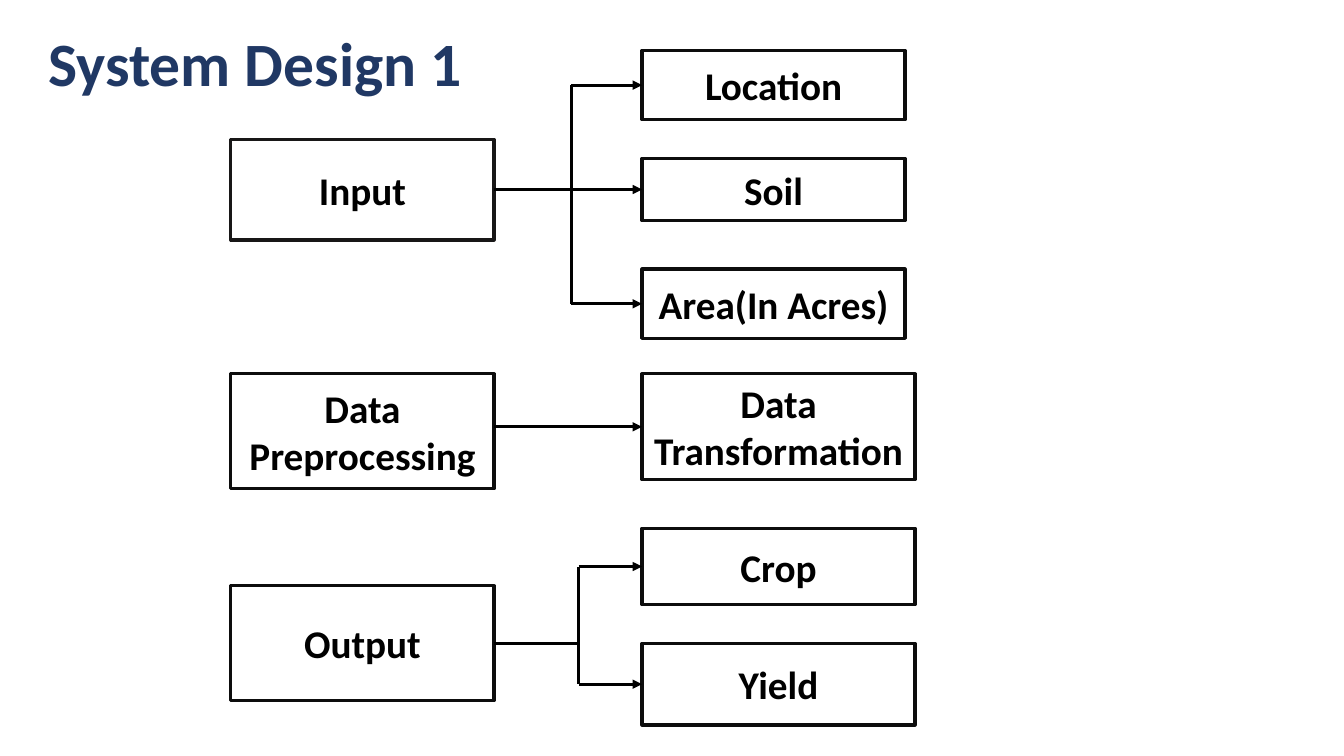
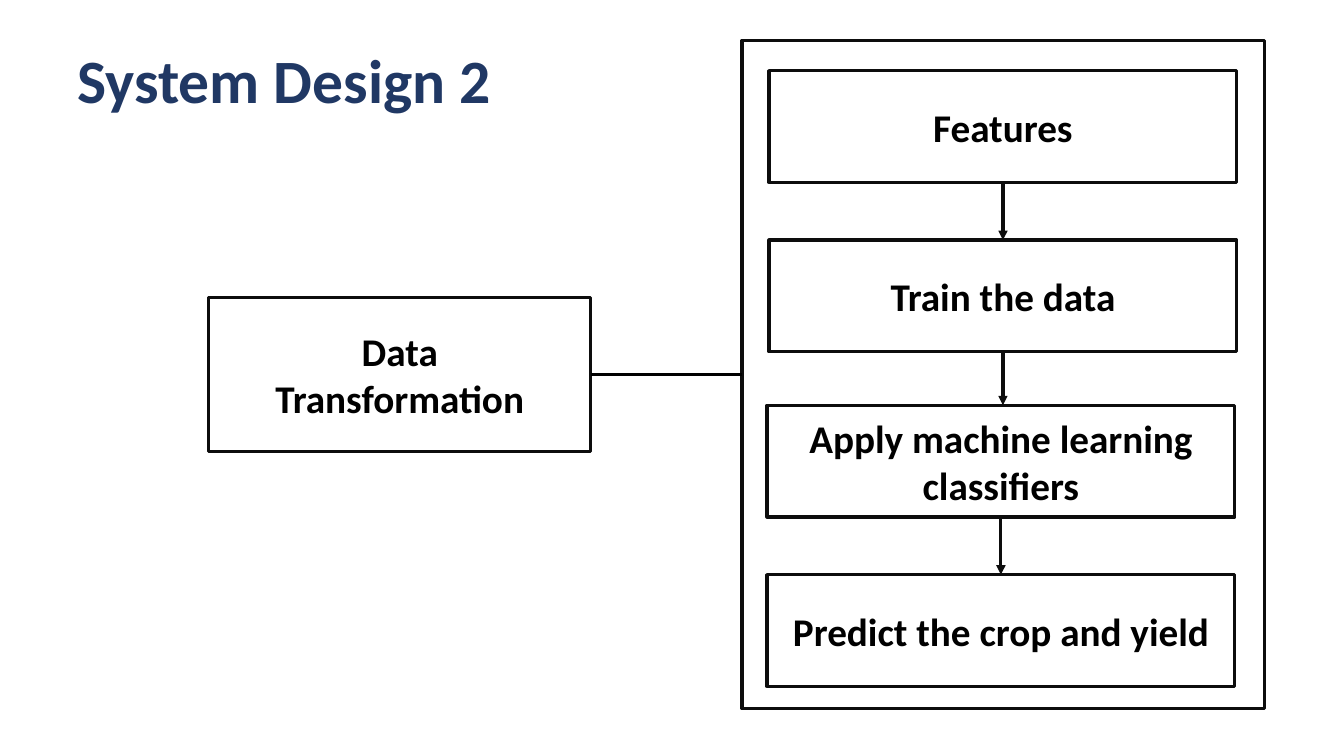
from dataclasses import dataclass
from itertools import pairwise

from lxml.etree import SubElement as Sub
from pptx import Presentation
from pptx.dml.color import RGBColor as Rgb
from pptx.enum.shapes import MSO_CONNECTOR as Conn, MSO_SHAPE as Form
from pptx.enum.text import MSO_ANCHOR as Anchor, PP_ALIGN as Align
from pptx.oxml.ns import qn
from pptx.util import Cm, Pt


@dataclass(frozen=True)
class Theme:
    font: str = "Calibri"
    title: Rgb = Rgb(0x20, 0x38, 0x64)
    ink: Rgb = Rgb(0, 0, 0)
    edge: Rgb = Rgb(0x0D, 0x0D, 0x0D)
    soft: Rgb = Rgb(0x18, 0x17, 0x17)
    paper: Rgb = Rgb(0xFF, 0xFF, 0xFF)
    head: Pt = Pt(44)
    body: Pt = Pt(28)
    rule: Pt = Pt(2.25)


THEME = Theme()


def write(shape, text, size=THEME.body, color=THEME.ink, align=Align.CENTER, space=1.0):
    """Fill a shape with bold text, one paragraph for each line of it."""
    frame = shape.text_frame
    frame.word_wrap = True
    frame.vertical_anchor = Anchor.MIDDLE
    frame.text = text
    for para in frame.paragraphs:
        para.alignment = align
        para.line_spacing = space
        for run in para.runs:
            font = run.font
            font.name, font.size, font.bold = THEME.font, size, True
            font.color.rgb = color


def title(slide, text, x, y, w, h):
    box = slide.shapes.add_textbox(Cm(x), Cm(y), Cm(w), Cm(h))
    write(box, text, size=THEME.head, color=THEME.title, align=Align.LEFT, space=0.9)


def block(slide, text, x, y, w, h, edge=THEME.edge):
    box = slide.shapes.add_shape(Form.RECTANGLE, Cm(x), Cm(y), Cm(w), Cm(h))
    box.shadow.inherit = False
    box.fill.solid()
    box.fill.fore_color.rgb = THEME.paper
    box.line.color.rgb = edge
    box.line.width = THEME.rule
    if text:
        write(box, text)
    return box


def wire(slide, start, end, color=THEME.ink, arrow=False):
    line = slide.shapes.add_connector(Conn.STRAIGHT, *start, *end)
    line.line.color.rgb = color
    line.line.width = THEME.rule
    props = line.element.spPr
    if arrow:
        Sub(props.find(qn("a:ln")), qn("a:tailEnd"), type="triangle")
    Sub(props, qn("a:effectLst"))


def right(box):
    return box.left + box.width


def mid(box):
    return box.top + box.height // 2


def link(slide, left, box, arrow=True):
    """Run a level line from one block to the middle of the next."""
    wire(slide, (right(left), mid(box)), (box.left, mid(box)), arrow=arrow)


def fork(slide, x, first, last):
    """Draw an upright trunk at x with an arrow to each of two blocks."""
    wire(slide, (x, mid(first)), (x, mid(last)))
    for box in (first, last):
        wire(slide, (x, mid(box)), (box.left, mid(box)), arrow=True)


def design_one(slide):
    stage_x, item_x, slim, wide = 5.82, 16.18, 6.63, 6.88
    source = block(slide, "Input", stage_x, 3.51, slim, 2.54, edge=THEME.soft)
    prep = block(slide, "Data Preprocessing", stage_x, 9.42, slim, 2.9)
    output = block(slide, "Output", stage_x, 14.76, slim, 2.9)

    items = (
        ("Location", 1.27, slim, 1.75),
        ("Soil", 3.99, slim, 1.57),
        ("Area(In Acres)", 6.78, slim, 1.75),
        ("Data\nTransformation", 9.42, wide, 2.67),
        ("Crop", 13.31, wide, 1.93),
        ("Yield", 16.21, wide, 2.06),
    )
    place, soil, area, change, crop, crop_yield = [
        block(slide, text, item_x, y, w, h) for text, y, w, h in items
    ]

    link(slide, source, soil)
    fork(slide, Cm(14.4), place, area)
    link(slide, prep, change)
    trunk = Cm(14.58)
    wire(slide, (right(output), mid(output)), (trunk, mid(output)))
    fork(slide, trunk, crop, crop_yield)
    title(slide, "System Design 1", 0.97, 0.64, 12.24, 2.08)


def design_two(slide):
    frame = block(slide, "", 18.7, 1.02, 13.16, 16.84)
    steps = (
        ("Features", 19.38, 1.78),
        ("Train the data", 19.38, 6.05),
        ("Apply machine learning classifiers", 19.33, 10.21),
        ("Predict the crop and yield", 19.33, 14.48),
    )
    boxes = [block(slide, text, x, y, 11.79, 2.82) for text, x, y in steps]
    change = block(slide, "Data\nTransformation", 5.26, 7.49, 9.63, 3.89)

    link(slide, change, frame, arrow=False)
    for upper, lower in pairwise(boxes):
        x = upper.left + upper.width // 2
        wire(slide, (x, upper.top + upper.height), (x, lower.top),
             color=THEME.edge, arrow=True)
    title(slide, "System Design 2", 1.7, 1.02, 14.12, 2.18)


def main():
    deck = Presentation()
    deck.slide_width, deck.slide_height = Cm(33.87), Cm(19.05)
    blank = deck.slide_layouts[6]
    for draw in (design_one, design_two):
        draw(deck.slides.add_slide(blank))
    deck.save("out.pptx")


if __name__ == "__main__":
    main()
